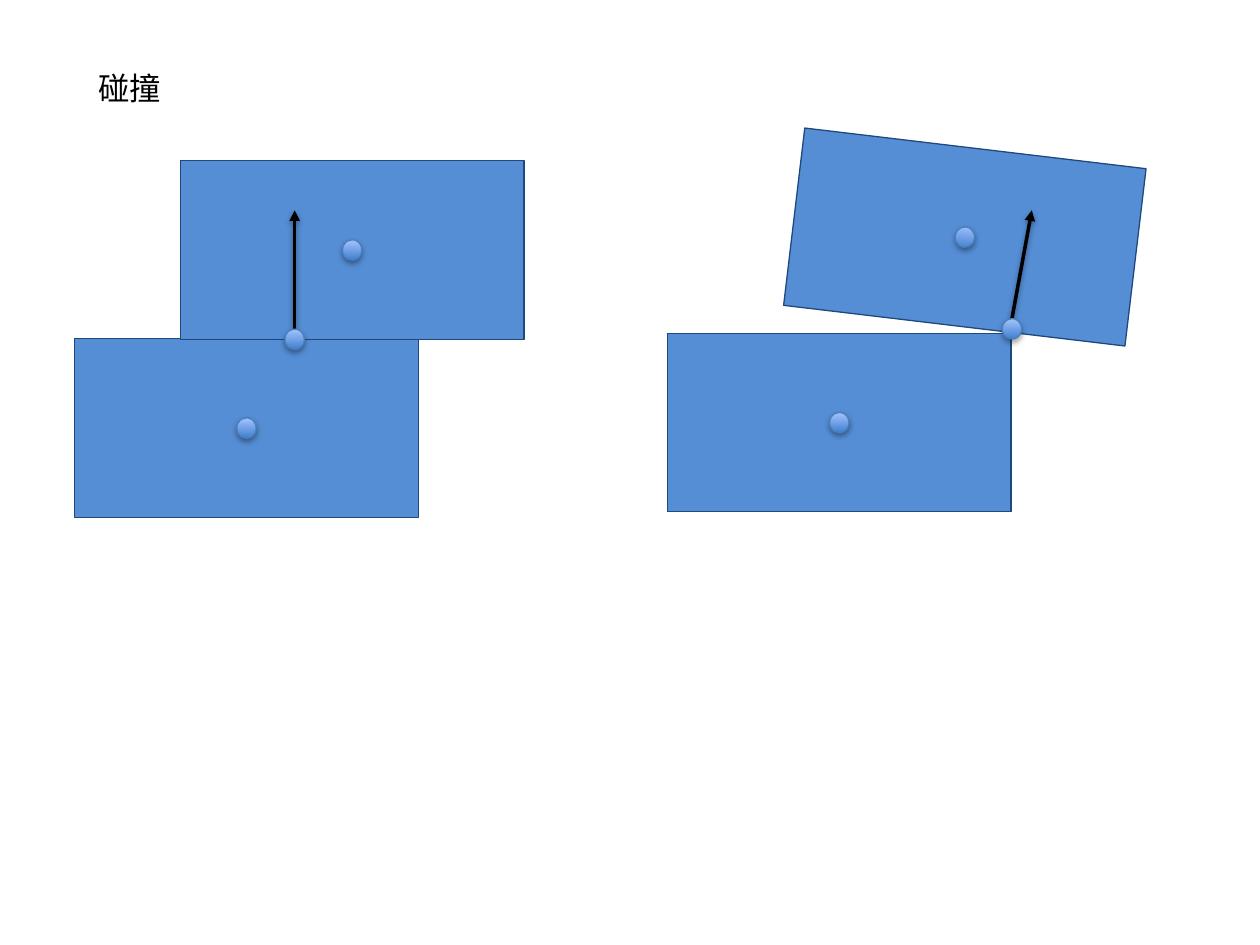
from dataclasses import dataclass

from lxml.etree import SubElement as Sub
from pptx import Presentation
from pptx.dml.color import RGBColor as Rgb
from pptx.enum.shapes import MSO_CONNECTOR as Link, MSO_SHAPE as Form
from pptx.enum.text import MSO_ANCHOR as Anchor, MSO_AUTO_SIZE as Fit, PP_ALIGN as Align
from pptx.oxml.ns import qn
from pptx.util import Cm, Pt


@dataclass(frozen=True)
class Theme:
    font: str = "Calibri"
    size: float = 18
    ink: str = "000000"
    block: str = "558ED5"
    edge: str = "1F497D"
    dark: str = "3F80CE"
    light: str = "A4C4FF"
    rim: str = "4B7EBC"
    thin: float = 0.75
    thick: float = 2


@dataclass(frozen=True)
class Block:
    """A solid body, placed by its centre in cm."""
    x: float
    y: float
    turn: float = 0


@dataclass(frozen=True)
class Hit:
    """A contact point and the tip of its normal, in cm."""
    x: float
    y: float
    tip_x: float
    tip_y: float


LOOK = Theme()
WIDE, HIGH = 6.93, 3.6      # block
DOT_W, DOT_H = 0.39, 0.41   # dot

# Each scene: lower block, upper block, contact
SCENES = [
    (Block(4.97, 8.63), Block(7.1, 5.04), Hit(5.94, 6.84, 5.94, 4.24)),
    (Block(16.92, 8.52), Block(19.45, 4.78, 6.8), Hit(20.4, 6.63, 20.8, 4.24)),
]


def add_form(shapes, form, x: float, y: float, wide: float, high: float, rim: str):
    """Add an outlined shape around a centre."""
    shape = shapes.add_shape(form, Cm(x - wide / 2), Cm(y - high / 2), Cm(wide), Cm(high))
    shape.line.color.rgb = Rgb.from_string(rim)
    shape.line.width = Pt(LOOK.thin)
    shape.shadow.inherit = False
    return shape


def add_glow(shape, alpha: int, dist: float) -> None:
    """Give a shape or line a soft shadow straight below it."""
    props = shape._element.spPr
    root = props.find(qn("a:effectLst"))
    if root is None:
        root = Sub(props, qn("a:effectLst"))
    shade = Sub(root, qn("a:outerShdw"), blurRad=str(Pt(3.1)), dist=str(Pt(dist)),
                dir="5400000", rotWithShape="0")
    tint = Sub(shade, qn("a:srgbClr"), val=LOOK.ink)
    Sub(tint, qn("a:alpha"), val=str(alpha * 1000))


def add_block(shapes, block: Block) -> None:
    shape = add_form(shapes, Form.RECTANGLE, block.x, block.y, WIDE, HIGH, LOOK.edge)
    shape.fill.solid()
    shape.fill.fore_color.rgb = Rgb.from_string(LOOK.block)
    shape.rotation = block.turn


def add_dot(shapes, x: float, y: float, turn: float = 0) -> None:
    dot = add_form(shapes, Form.OVAL, x, y, DOT_W, DOT_H, LOOK.rim)
    dot.fill.gradient()
    dot.fill.gradient_angle = 90
    for stop, tint, place in zip(dot.fill.gradient_stops, (LOOK.dark, LOOK.light), (0, 1)):
        stop.color.rgb = Rgb.from_string(tint)
        stop.position = place
    dot.rotation = turn
    add_glow(dot, 35, 1.8)


def add_arrow(shapes, hit: Hit) -> None:
    """Draw the normal from the top of the contact dot."""
    arrow = shapes.add_connector(Link.STRAIGHT, Cm(hit.x), Cm(hit.y - DOT_H / 2),
                                 Cm(hit.tip_x), Cm(hit.tip_y))
    arrow.line.color.rgb = Rgb.from_string(LOOK.ink)
    arrow.line.width = Pt(LOOK.thick)
    Sub(arrow._element.spPr.find(qn("a:ln")), qn("a:tailEnd"), type="triangle")
    add_glow(arrow, 38, 1.6)


def set_title(title, text: str) -> None:
    title.left, title.top, title.width, title.height = Cm(1.73), Cm(1.27), Cm(1.85), Cm(1.03)
    frame = title.text_frame
    frame.text = text
    frame.word_wrap = False
    frame.auto_size = Fit.SHAPE_TO_FIT_TEXT
    frame.vertical_anchor = Anchor.TOP
    para = frame.paragraphs[0]
    para.alignment = Align.LEFT
    font = para.runs[0].font
    font.name, font.size = LOOK.font, Pt(LOOK.size)
    font.color.rgb = Rgb.from_string(LOOK.ink)


def main() -> None:
    deck = Presentation()
    deck.slide_width, deck.slide_height = Cm(25.4), Cm(19.05)
    slide = deck.slides.add_slide(deck.slide_layouts[5])
    shapes = slide.shapes
    set_title(shapes.title, "碰撞")

    for low, high, hit in SCENES:
        # Bodies
        for block in (low, high):
            add_block(shapes, block)
        # Centres of mass
        for block in (low, high):
            add_dot(shapes, block.x, block.y, block.turn)
        # Contact and its normal
        add_arrow(shapes, hit)
        add_dot(shapes, hit.x, hit.y)

    deck.save("out.pptx")


if __name__ == "__main__":
    main()
